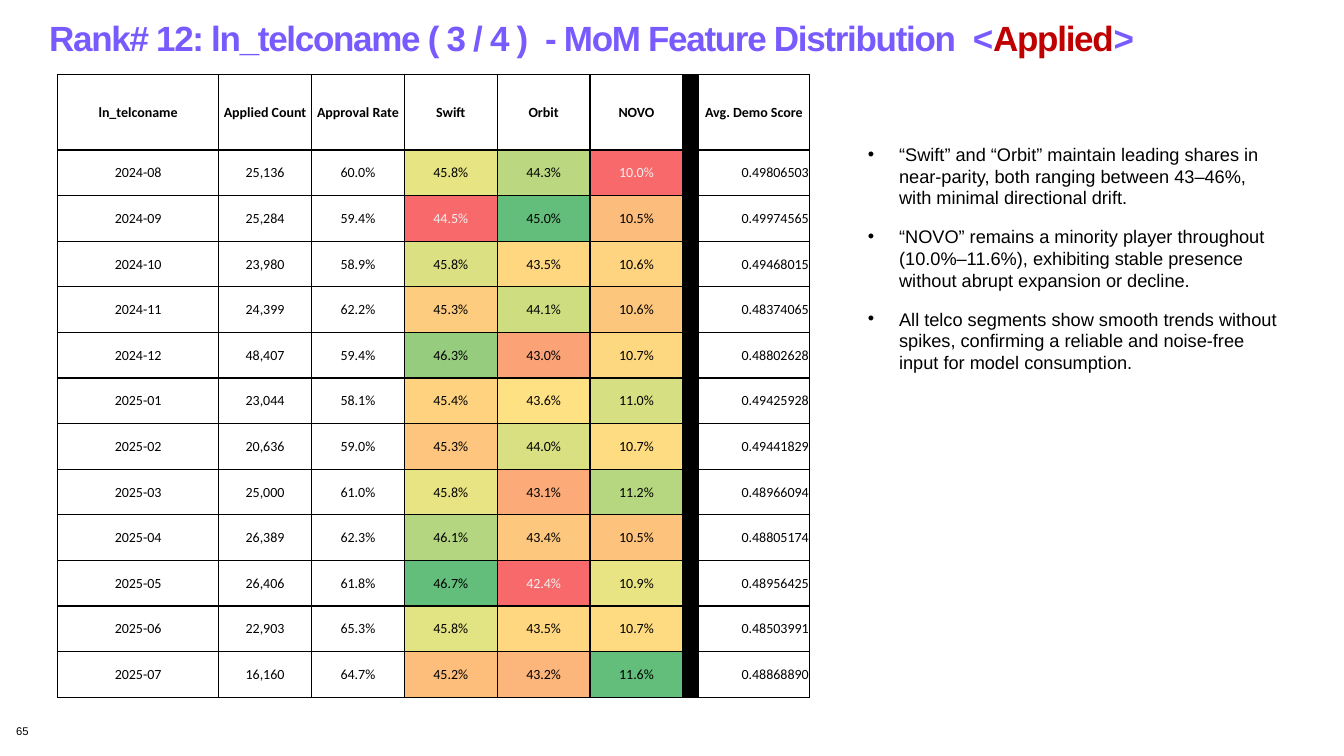
from lxml import etree
from pptx import Presentation
from pptx.dml.color import RGBColor
from pptx.enum.text import MSO_ANCHOR, MSO_AUTO_SIZE, PP_ALIGN
from pptx.oxml.ns import qn
from pptx.util import Cm, Pt

CENTER, RIGHT = PP_ALIGN.CENTER, PP_ALIGN.RIGHT
MIDDLE = MSO_ANCHOR.MIDDLE
GROW = MSO_AUTO_SIZE.SHAPE_TO_FIT_TEXT

COLORS = {
    "title": "785AFF",
    "accent": "C00000",
    "ink": "000000",
    "paper": "FFFFFF",
    "pale": "F1F1F1",
    "lowest": "F8696B",
}
# Heat shades by operator, one per month
HEAT = {
    "Swift": ["E6E483", "F8696B", "DBE182", "FDCC7E", "95CC7E", "FED27F",
              "FDC57D", "E8E483", "B5D680", "63BE7B", "E2E382", "FDBE7B"],
    "Orbit": ["BBD780", "63BE7B", "FED780", "CFDD81", "FBA376", "FEE182",
              "D8E082", "FCAB78", "FDC87D", "F8696B", "FED780", "FCB57A"],
    "NOVO": ["F8696B", "FCBC7B", "FED480", "FDC67D", "FED880", "D6DF82",
             "FEDC81", "B6D680", "FDC27C", "E8E483", "FEDB81", "63BE7B"],
}
DIVIDER = ""
SCORE = "Avg. Demo Score"
HEADERS = ["ln_telconame", "Applied Count", "Approval Rate", *HEAT, DIVIDER, SCORE]
COLUMN_WIDTHS = [4.06] + [2.34] * 5 + [0.39, 2.8]
HEADER_HEIGHT, MONTH_HEIGHT = 1.9, 1.15
MONTHS = [
    ["2024-08", "25,136", "60.0%", "45.8%", "44.3%", "10.0%", "", "0.49806503"],
    ["2024-09", "25,284", "59.4%", "44.5%", "45.0%", "10.5%", "", "0.49974565"],
    ["2024-10", "23,980", "58.9%", "45.8%", "43.5%", "10.6%", "", "0.49468015"],
    ["2024-11", "24,399", "62.2%", "45.3%", "44.1%", "10.6%", "", "0.48374065"],
    ["2024-12", "48,407", "59.4%", "46.3%", "43.0%", "10.7%", "", "0.48802628"],
    ["2025-01", "23,044", "58.1%", "45.4%", "43.6%", "11.0%", "", "0.49425928"],
    ["2025-02", "20,636", "59.0%", "45.3%", "44.0%", "10.7%", "", "0.49441829"],
    ["2025-03", "25,000", "61.0%", "45.8%", "43.1%", "11.2%", "", "0.48966094"],
    ["2025-04", "26,389", "62.3%", "46.1%", "43.4%", "10.5%", "", "0.48805174"],
    ["2025-05", "26,406", "61.8%", "46.7%", "42.4%", "10.9%", "", "0.48956425"],
    ["2025-06", "22,903", "65.3%", "45.8%", "43.5%", "10.7%", "", "0.48503991"],
    ["2025-07", "16,160", "64.7%", "45.2%", "43.2%", "11.6%", "", "0.48868890"],
]
FINDINGS = [
    "“Swift” and “Orbit” maintain leading shares in near-parity, both ranging "
    "between 43–46%, with minimal directional drift.",
    "“NOVO” remains a minority player throughout (10.0%–11.6%), exhibiting "
    "stable presence without abrupt expansion or decline.",
    "All telco segments show smooth trends without spikes, confirming a "
    "reliable and noise-free input for model consumption.",
]
TIGHT = -0.9
WIDE = 5.1  # letter spacing that doubles the width of a space
TITLE = [
    ("Rank# 12: ln_telconame ( 3 / 4 )", "title", TIGHT),
    (" ", "title", WIDE),
    ("- MoM Feature Distribution", "title", TIGHT),
    (" ", "title", WIDE),
    ("<", "title", TIGHT),
    ("Applied", "accent", TIGHT),
    (">", "title", TIGHT),
]


def rgb(hex_color):
    return RGBColor.from_string(hex_color)


def add_run(paragraph, text, size=10, font="Arial", color="ink", bold=False, spacing=None):
    run = paragraph.add_run()
    run.text = text
    run.font.size = Pt(size)
    run.font.name = font
    run.font.bold = bold
    run.font.color.rgb = rgb(COLORS[color])
    if spacing is not None:
        run.font._element.set("spc", str(round(spacing * 100)))


def add_text_frame(slide, left, top, width, height, inset=True):
    box = slide.shapes.add_textbox(Cm(left), Cm(top), Cm(width), Cm(height))
    frame = box.text_frame
    frame.word_wrap = True
    if not inset:
        frame.margin_left = frame.margin_right = 0
        frame.margin_top = frame.margin_bottom = 0
    return frame


def add_title(slide):
    heading = add_text_frame(slide, 1.24, 0.3, 32.61, 1.3, inset=False).paragraphs[0]
    heading.line_spacing = 1.1
    for text, color, spacing in TITLE:
        add_run(heading, text, size=25, color=color, bold=True, spacing=spacing)


def add_findings(slide):
    frame = add_text_frame(slide, 21.62, 3.48, 10.8, 6.12)
    frame.auto_size = GROW
    for index, finding in enumerate(FINDINGS):
        paragraph = frame.add_paragraph() if index else frame.paragraphs[0]
        paragraph.space_after = Pt(12)
        properties = paragraph._p.get_or_add_pPr()
        properties.set("marL", str(Cm(0.79)))
        properties.set("indent", str(Cm(-0.79)))
        etree.SubElement(properties, qn("a:buFont"), typeface="Arial")
        etree.SubElement(properties, qn("a:buChar"), char="•")
        add_run(paragraph, finding, size=13)


def add_borders(cell):
    """Draw a one-point black line on all four sides."""
    properties = cell._tc.get_or_add_tcPr()
    for position, side in enumerate(("a:lnL", "a:lnR", "a:lnT", "a:lnB")):
        line = etree.Element(qn(side), w=str(Pt(1)))
        fill = etree.SubElement(line, qn("a:solidFill"))
        etree.SubElement(fill, qn("a:srgbClr"), val=COLORS["ink"])
        properties.insert(position, line)


def fill_cell(cell, text, shade, **text_format):
    cell.fill.solid()
    cell.fill.fore_color.rgb = rgb(shade)
    add_borders(cell)
    cell.vertical_anchor = MIDDLE
    cell.margin_left = cell.margin_right = cell.margin_top = Cm(0.02)
    cell.margin_bottom = 0
    paragraph = cell.text_frame.paragraphs[0]
    paragraph.alignment = text_format.pop("align", CENTER)
    if text:
        add_run(paragraph, text, font="Calibri", **text_format)


def add_distribution_table(slide):
    frame = slide.shapes.add_table(
        len(MONTHS) + 1, len(HEADERS), Cm(1.45), Cm(1.88),
        Cm(sum(COLUMN_WIDTHS)), Cm(HEADER_HEIGHT + MONTH_HEIGHT * len(MONTHS)))
    table = frame.table
    table.horz_banding = False
    for row in table.rows:
        row.height = Cm(MONTH_HEIGHT)
    table.rows[0].height = Cm(HEADER_HEIGHT)
    for column, header in enumerate(HEADERS):
        table.columns[column].width = Cm(COLUMN_WIDTHS[column])
        plain = COLORS["ink" if header == DIVIDER else "paper"]
        fill_cell(table.cell(0, column), header, plain, bold=True)
        shades = HEAT.get(header, [plain] * len(MONTHS))
        for index, (month, shade) in enumerate(zip(MONTHS, shades)):
            fill_cell(table.cell(index + 1, column), month[column], shade,
                      color="pale" if shade == COLORS["lowest"] else "ink",
                      align=RIGHT if header == SCORE else CENTER)


def main():
    presentation = Presentation()
    presentation.slide_width, presentation.slide_height = Cm(33.87), Cm(19.05)
    slide = presentation.slides.add_slide(presentation.slide_layouts[6])
    add_title(slide)
    page_number = add_text_frame(slide, 0.41, 18.26, 7.42, 0.64, inset=False)
    add_run(page_number.paragraphs[0], "65", size=8)
    add_findings(slide)
    add_distribution_table(slide)
    presentation.save("out.pptx")


if __name__ == "__main__":
    main()
